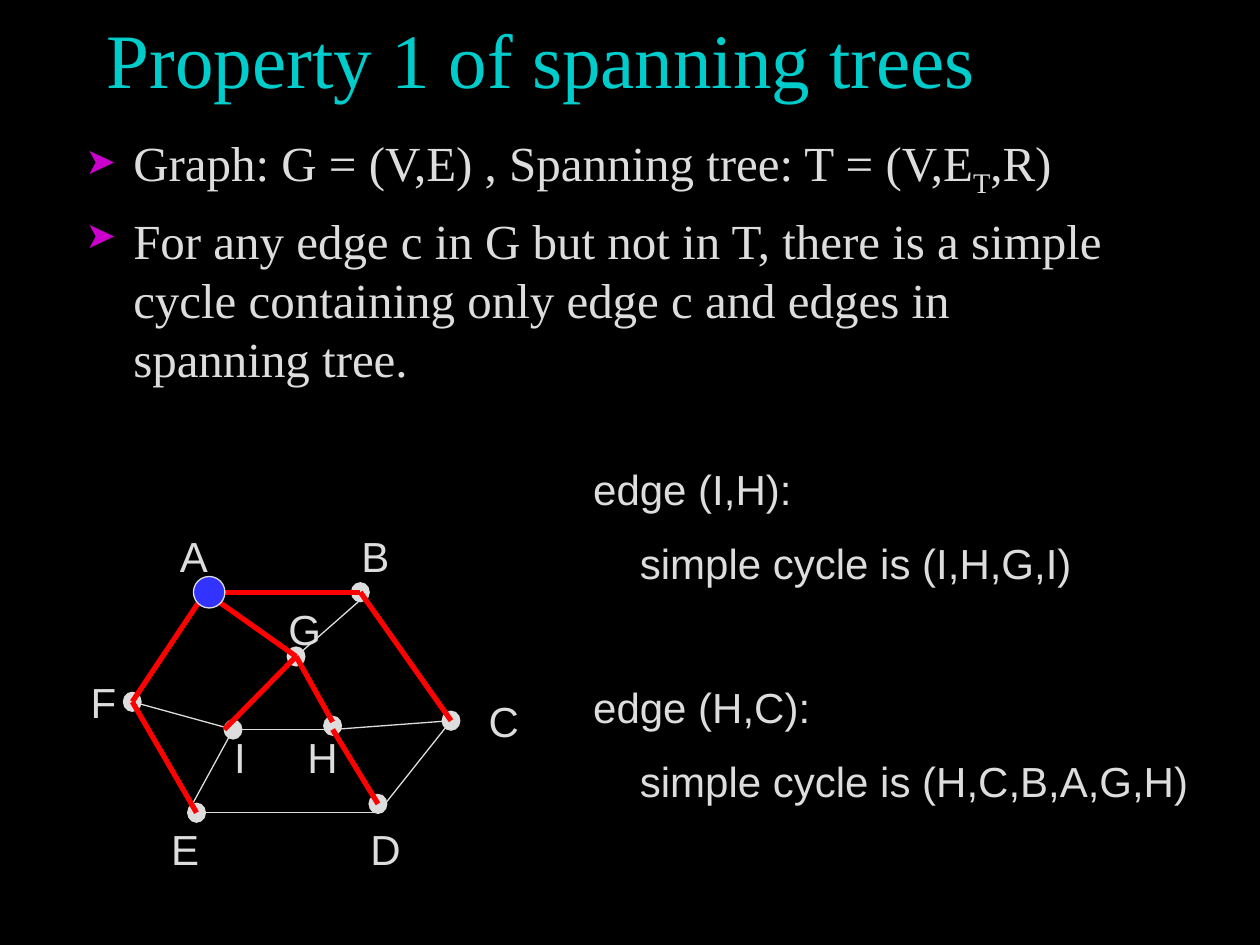
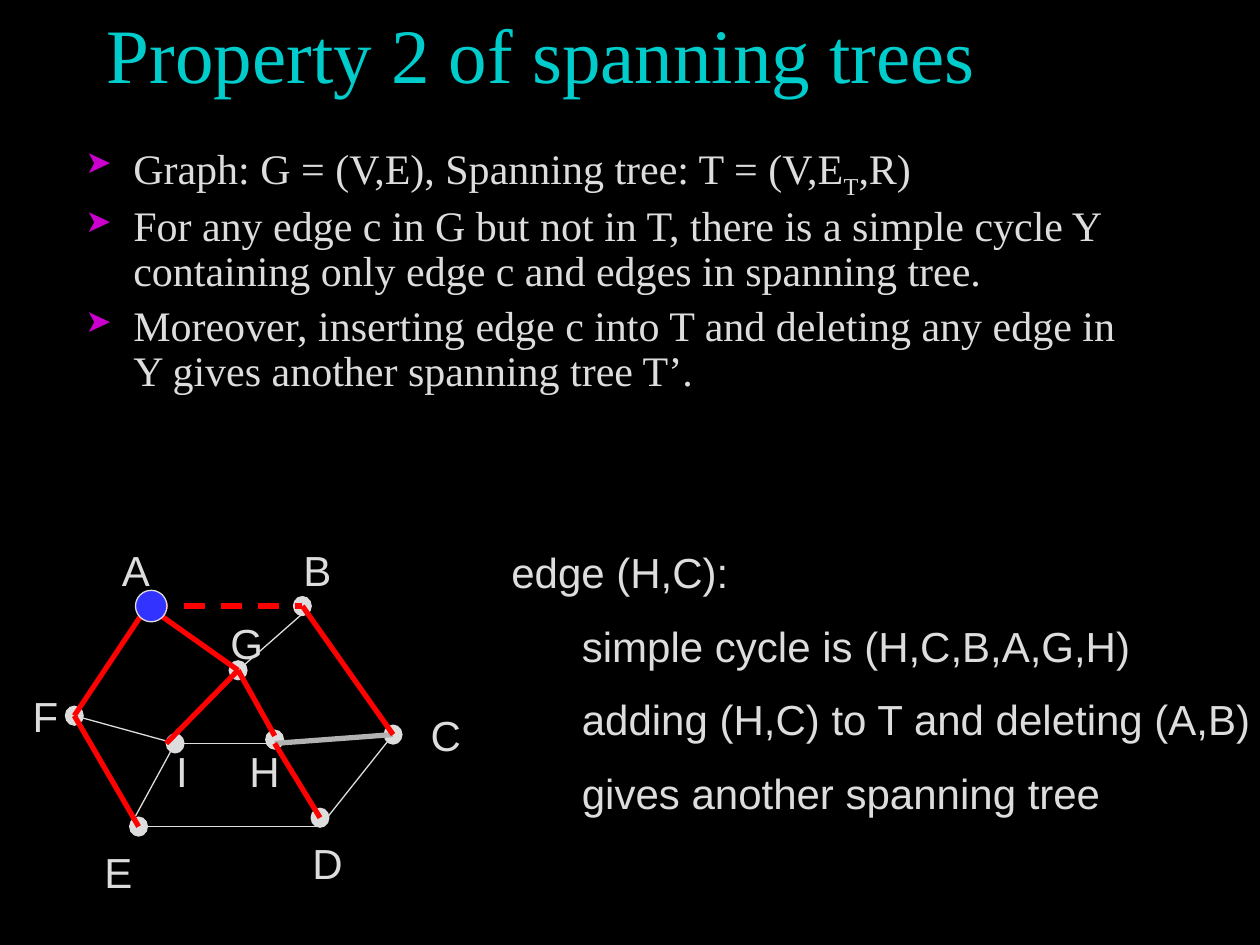
from dataclasses import dataclass

from lxml import etree
from pptx import Presentation
from pptx import util as u
from pptx.dml.color import RGBColor
from pptx.enum import dml, shapes, text
from pptx.oxml import ns


@dataclass(frozen=True)
class Theme:
    background: str = "000000"
    title: str = "00CCCC"
    ink: str = "DDDDDD"
    bullet: str = "CC00CC"
    tree_edge: str = "FF0000"
    added_edge: str = "B2B2B2"
    root: str = "3333FF"
    serif: str = "Times New Roman"
    sans: str = "Arial"
    title_size: int = 44
    label_size: int = 24
    thin: float = 0.75
    thick: float = 3


THEME = Theme()

NODES = {
    "A": (1.63, 4.70), "B": (2.86, 4.70), "F": (1.05, 5.57),
    "C": (3.58, 5.72), "E": (1.56, 6.45), "D": (3.00, 6.38),
    "G": (2.35, 5.21), "H": (2.64, 5.76), "I": (1.85, 5.79),
}
PORTS = NODES | {
    "B right": (2.93, 4.70), "D low": (3.00, 6.45), "E left": (1.49, 6.45),
    "H high": (2.64, 5.73), "H low": (2.64, 5.79), "I left": (1.78, 5.79),
}
TREE_EDGES = [
    ("A", "B"), ("B", "C"), ("A", "F"), ("F", "E"), ("A", "G"),
    ("G", "I left"), ("H high", "G"), ("H low", "D"),
]
OTHER_EDGES = [
    ("E", "D low"), ("D low", "C"), ("G", "B right"), ("I", "H low"),
    ("F", "I"), ("I", "E left"), ("H low", "C"),
]
LABELS = {
    "A": (1.33, 4.16), "B": (2.77, 4.16), "C": (3.78, 5.47),
    "D": (2.84, 6.49), "E": (1.26, 6.49), "F": (0.62, 5.32),
    "G": (2.19, 4.74), "H": (2.34, 5.76), "I": (1.76, 5.76),
}
LABEL_WIDTHS = {"C": 0.45, "D": 0.45, "F": 0.41, "G": 0.46, "H": 0.45, "I": 0.29}


def rgb(value):
    return RGBColor.from_string(value)


def apply_format(target, values):
    for key, value in values.items():
        setattr(target, key, value)


def add_frame(slide, left, top, width, height, **settings):
    box = slide.shapes.add_textbox(*map(u.Inches, (left, top, width, height)))
    apply_format(box.text_frame, {"word_wrap": True} | settings)
    return box.text_frame


def add_run(paragraph, words, font, size, color):
    run = paragraph.add_run()
    run.text = words
    apply_format(run.font, {"name": font, "size": u.Pt(size)})
    run.font.color.rgb = rgb(color)
    return run


def next_paragraph(frame, index):
    return frame.add_paragraph() if index else frame.paragraphs[0]


def indent(paragraph, margin, first=0):
    props = paragraph._p.get_or_add_pPr()
    props.set("marL", str(u.Inches(margin)))
    props.set("indent", str(u.Inches(first)))
    return props


def add_bullet(paragraph):
    props = indent(paragraph, 0.38, -0.38)
    color = etree.SubElement(props, ns.qn("a:buClr"))
    etree.SubElement(color, ns.qn("a:srgbClr"), val=THEME.bullet)
    etree.SubElement(props, ns.qn("a:buSzPct"), val="75000")
    etree.SubElement(props, ns.qn("a:buChar"), char="➤")


def add_title(slide, words, top):
    frame = add_frame(slide, 0.75, top, 8.5, 1.25,
                      vertical_anchor=text.MSO_ANCHOR.MIDDLE)
    add_run(frame.paragraphs[0], words, THEME.serif, THEME.title_size, THEME.title)


def add_statements(slide, statements, top, size, line_spacing):
    frame = add_frame(slide, 0.58, top, 8.5, 2.17)
    for index, statement in enumerate(statements):
        paragraph = next_paragraph(frame, index)
        apply_format(paragraph, {"space_before": u.Pt(size * 0.23),
                                 "line_spacing": line_spacing})
        add_bullet(paragraph)
        for part, words in enumerate(statement):
            run = add_run(paragraph, words, THEME.serif, size, THEME.ink)
            if part == 1:
                run._r.get_or_add_rPr().set("baseline", "-25000")


def add_node(slide, x, y, width, height, color):
    node = slide.shapes.add_shape(
        shapes.MSO_SHAPE.OVAL,
        *map(u.Inches, (x - width / 2, y - height / 2, width, height)))
    node.shadow.inherit = False
    node.fill.solid()
    node.fill.fore_color.rgb = rgb(color)
    node.line.color.rgb = rgb(THEME.ink)
    node.line.width = u.Pt(THEME.thin)


def add_edge(slide, start, end, color, width, dash=None):
    edge = slide.shapes.add_connector(
        shapes.MSO_CONNECTOR.STRAIGHT, *map(u.Inches, (*start, *end)))
    edge.line.color.rgb = rgb(color)
    apply_format(edge.line, {"width": u.Pt(width), "dash_style": dash})
    etree.SubElement(edge._element.spPr, ns.qn("a:effectLst"))


def add_graph(slide, dx=0, dy=0, added=None, deleted=None, label_moves=None):
    def place(point):
        return point[0] + dx, point[1] + dy

    for point in NODES.values():
        add_node(slide, *place(point), 0.14, 0.15, THEME.ink)

    for pair in OTHER_EDGES + TREE_EDGES:
        color, width = THEME.ink, THEME.thin
        if pair in TREE_EDGES:
            color, width = THEME.tree_edge, THEME.thick
        elif pair == added:
            color, width = THEME.added_edge, THEME.thick
        dash = dml.MSO_LINE.DASH if pair == deleted else None
        add_edge(slide, *(place(PORTS[end]) for end in pair), color, width, dash)

    for letter, point in (LABELS | (label_moves or {})).items():
        frame = add_frame(slide, *place(point), LABEL_WIDTHS.get(letter, 0.43), 0.5,
                          word_wrap=False)
        add_run(frame.paragraphs[0], letter, THEME.sans, THEME.label_size, THEME.ink)

    root_x, root_y = place(NODES["A"])
    add_node(slide, root_x + 0.03, root_y, 0.25, 0.25, THEME.root)


def add_examples(slide, left, top, width, height, examples, step_indent):
    frame = add_frame(slide, left, top, width, height)
    lines = [(line, step) for example in examples for step, line in enumerate(example)]
    for index, (line, step) in enumerate(lines):
        paragraph = next_paragraph(frame, index)
        starts_example = index and not step
        paragraph.space_before = u.Pt(54 if starts_example else 13.2)
        indent(paragraph, step_indent if step else 0)
        add_run(paragraph, line, THEME.sans, THEME.label_size, THEME.ink)


def add_slide(deck):
    slide = deck.slides.add_slide(deck.slide_layouts[6])
    slide.background.fill.solid()
    slide.background.fill.fore_color.rgb = rgb(THEME.background)
    return slide


def main():
    deck = Presentation()
    apply_format(deck, {"slide_width": u.Inches(10), "slide_height": u.Inches(7.5)})

    first = add_slide(deck)
    add_title(first, "Property 1 of spanning trees", -0.17)
    add_statements(first, [
        ("Graph: G = (V,E) , Spanning tree: T = (V,E", "T", ",R)"),
        ("For any edge c in G but not in T, there is a simple cycle "
         "containing only edge c and edges in spanning tree.",),
    ], top=1, size=28, line_spacing=1.0)
    add_graph(first)
    add_examples(first, 4.61, 3.63, 4.97, 3.53, [
        ("edge (I,H):", "simple cycle is (I,H,G,I)"),
        ("edge (H,C):", "simple cycle is (H,C,B,A,G,H)"),
    ], step_indent=0.37)

    second = add_slide(deck)
    add_title(second, "Property 2 of spanning trees", -0.21)
    add_statements(second, [
        ("Graph: G = (V,E), Spanning tree: T = (V,E", "T", ",R)"),
        ("For any edge c in G but not in T, there is a simple cycle Y "
         "containing only edge c and edges in spanning tree.",),
        ("Moreover, inserting edge c into T and deleting any edge in Y "
         "gives another spanning tree T’.",),
    ], top=1.09, size=24, line_spacing=0.9)
    add_graph(second, dx=-0.46, dy=0.11, added=("H low", "C"), deleted=("A", "B"),
              label_moves={"E": (1.19, 6.56)})
    add_examples(second, 3.96, 4.29, 6.21, 2.32, [
        ("edge (H,C):", "simple cycle is (H,C,B,A,G,H)",
         "adding (H,C) to T and deleting (A,B)", "gives another spanning tree"),
    ], step_indent=0.56)

    deck.save("out.pptx")


if __name__ == "__main__":
    main()
